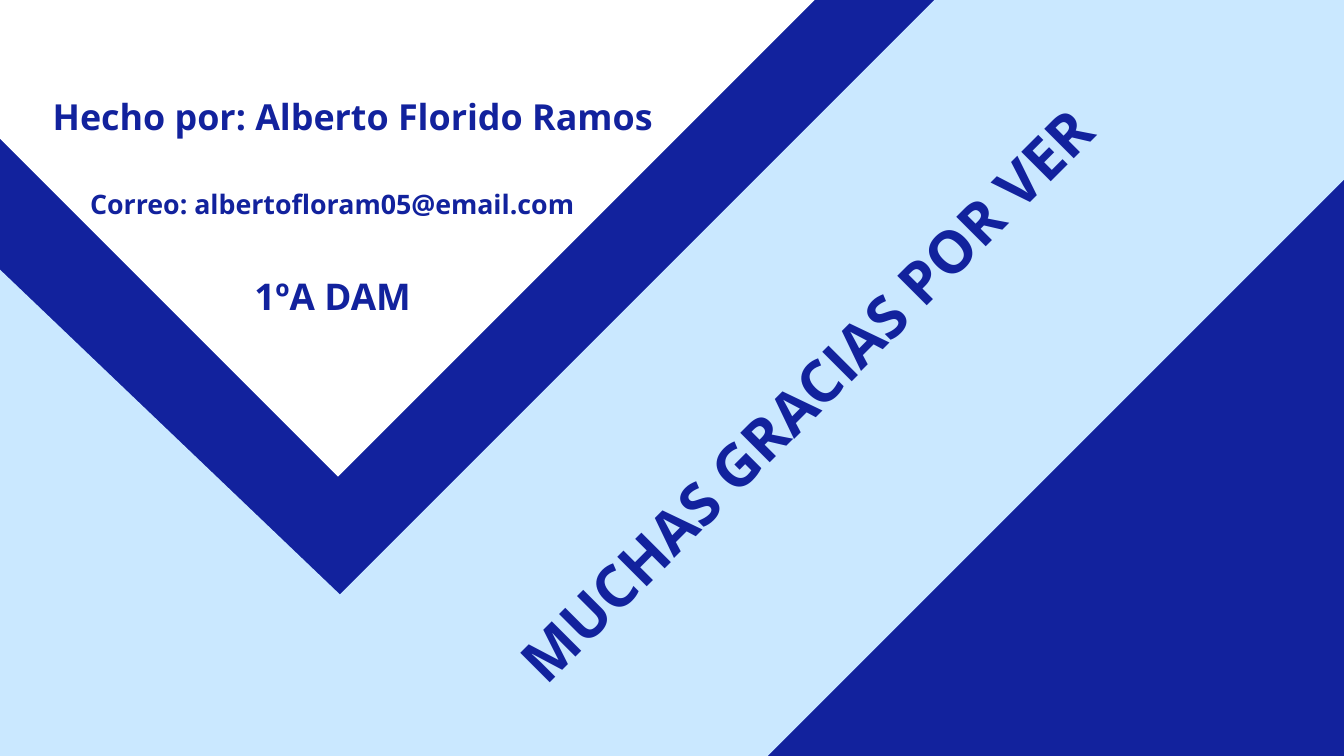
"""Build the closing slide with its slanted bands and contact lines."""
from typing import NamedTuple

from pptx import Presentation
from pptx.dml.color import RGBColor
from pptx.enum.text import MSO_ANCHOR, MSO_AUTO_SIZE, PP_ALIGN
from pptx.util import Inches, Pt

NAVY, SKY, WHITE = "12229D", "CAE8FF", "FFFFFF"


class Box(NamedTuple):
    left: float
    top: float
    width: float
    height: float


class Band(NamedTuple):
    box: Box
    turn: float
    color: str


class Line(NamedTuple):
    text: str
    box: Box
    size: float
    pitch: float


BANDS = [
    Band(Box(-6.67, 9.1, 21.5, 6.2), 43.7, SKY),
    Band(Box(1.91, 2.53, 21.5, 6.2), 315, SKY),
    Band(Box(0.39, -5.17, 9.72, 10.34), 45, WHITE),
]
THANKS = Line("MUCHAS GRACIAS POR VER", Box(6.11, 5.21, 11.61, 1.17), 62.6, 87.6)
LINES = [
    Line("Hecho por: Alberto Florido Ramos", Box(0.78, 1.3, 8.94, 0.71), 38.4, 53.8),
    Line("1ºA DAM", Box(3.78, 3.97, 2.34, 0.73), 39.4, 55.2),
    Line("Correo: albertofloram05@email.com", Box(1.33, 2.71, 7.23, 0.54), 28.7, 40.2),
]


def paint(fill, color: str) -> None:
    """Give a fill one solid colour."""
    fill.solid()
    fill.fore_color.rgb = RGBColor.from_string(color)


def draw_band(slide, band: Band) -> None:
    """Draw a turned rectangle without outline."""
    left, top, width, height = map(Inches, band.box)
    right, low = left + width, top + height
    pen = slide.shapes.build_freeform(left, top)
    pen.add_line_segments([(right, top), (right, low), (left, low)])
    shape = pen.convert_to_shape()
    shape.rotation = band.turn
    shape.shadow.inherit = False
    paint(shape.fill, band.color)
    shape.line.fill.background()


def place(shape, box: Box) -> None:
    """Move and size a shape."""
    shape.left, shape.top, shape.width, shape.height = map(Inches, box)


def write(shape, text: str, *, size: float, pitch: float,
          color: str = NAVY, face: str = "Open Sans") -> None:
    """Fill a shape with one centred bold line."""
    frame = shape.text_frame
    frame.word_wrap = True
    frame.auto_size = MSO_AUTO_SIZE.SHAPE_TO_FIT_TEXT
    frame.vertical_anchor = MSO_ANCHOR.TOP
    frame.margin_left = frame.margin_right = 0
    frame.margin_top = frame.margin_bottom = 0
    para = frame.paragraphs[0]
    para.alignment = PP_ALIGN.CENTER
    para.line_spacing = Pt(pitch)
    para.space_before = Pt(0)
    run = para.add_run()
    run.text = text
    run.font.name, run.font.size, run.font.bold = face, Pt(size), True
    paint(run.font.fill, color)


def draw_line(shape, line: Line) -> None:
    """Place a text shape and write its line."""
    place(shape, line.box)
    write(shape, line.text, size=line.size, pitch=line.pitch)


def main() -> None:
    """Build and save the slide."""
    deck = Presentation()
    deck.slide_width, deck.slide_height = Inches(20), Inches(11.25)
    slide = deck.slides.add_slide(deck.slide_layouts[5])
    paint(slide.background.fill, NAVY)
    for band in BANDS:
        draw_band(slide, band)
    title = slide.shapes.title
    title.element.getparent().append(title.element)
    draw_line(title, THANKS)
    title.rotation = 315
    for line in LINES:
        draw_line(slide.shapes.add_textbox(0, 0, 0, 0), line)
    deck.save("out.pptx")


if __name__ == "__main__":
    main()
